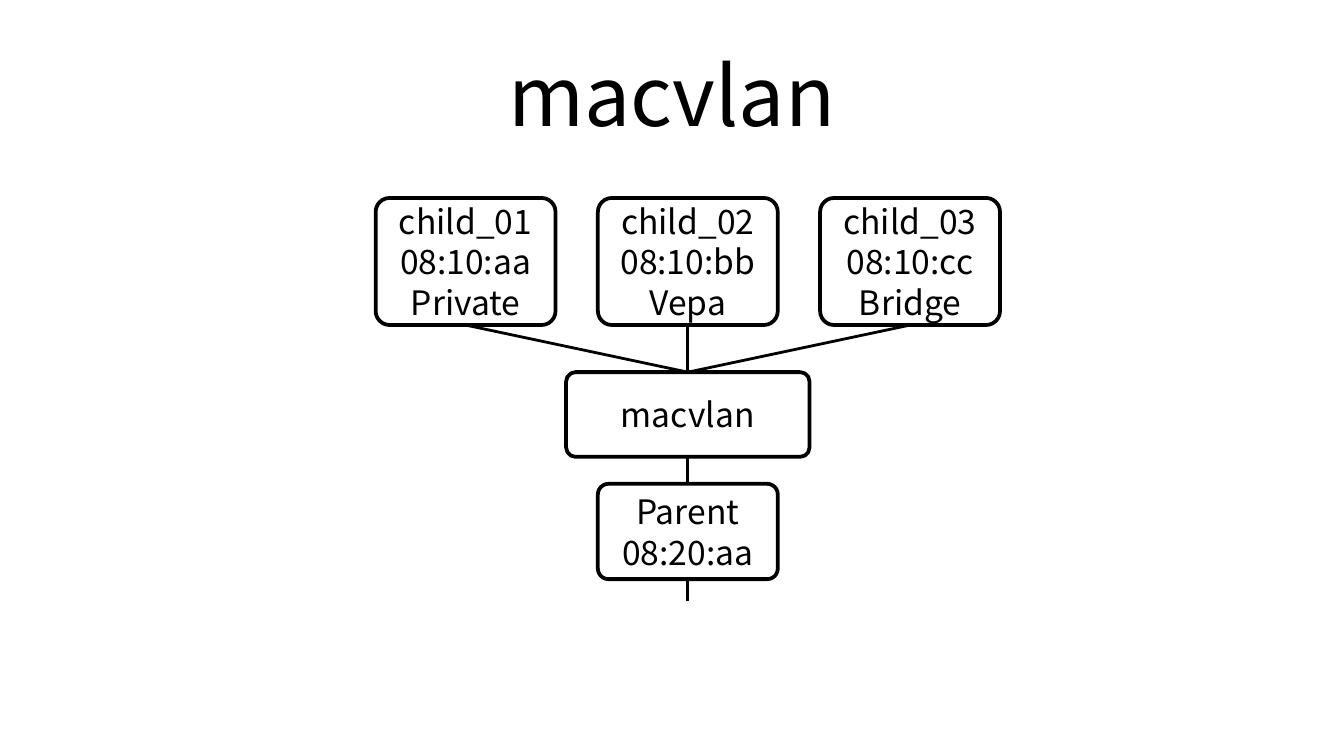
from dataclasses import dataclass

from lxml.etree import SubElement
from pptx import Presentation
from pptx.dml.color import RGBColor
from pptx.enum.shapes import MSO_CONNECTOR, MSO_SHAPE
from pptx.enum.text import MSO_ANCHOR, PP_ALIGN
from pptx.oxml.ns import qn
from pptx.util import Cm, Pt


@dataclass(frozen=True)
class Theme:
    font: str = "Noto Sans CJK KR"
    ink: RGBColor = RGBColor(0, 0, 0)
    paper: RGBColor = RGBColor(255, 255, 255)
    title_size: Pt = Pt(44)
    node_size: Pt = Pt(18)
    border: Pt = Pt(2)
    link: Pt = Pt(1.5)


theme = Theme()


def write_lines(shape, lines, size):
    """Fill a shape with centred paragraphs, one per line."""
    frame = shape.text_frame
    frame.word_wrap = True
    frame.vertical_anchor = MSO_ANCHOR.MIDDLE
    frame.margin_left = frame.margin_right = Cm(0.25)
    frame.margin_top = frame.margin_bottom = Cm(0.12)
    for number, line in enumerate(lines):
        para = frame.add_paragraph() if number else frame.paragraphs[0]
        para.alignment = PP_ALIGN.CENTER
        span = para.add_run()
        span.text = line
        span.font.name = theme.font
        span.font.size = size
        span.font.color.rgb = theme.ink


deck = Presentation()
deck.slide_width, deck.slide_height = Cm(25.4), Cm(14.28)
page = deck.slides.add_slide(deck.slide_layouts[5])
page.background.fill.solid()
page.background.fill.fore_color.rgb = theme.paper

title = page.shapes.title
title.left, title.top, title.width, title.height = Cm(1.27), Cm(0.58), Cm(22.86), Cm(2.39)
write_lines(title, ["macvlan"], theme.title_size)

# Everything hangs on one vertical axis; the children spread evenly around it.
axis = 13
child_pitch = 4.2
child_top, child_height = 3.74, 2.4
driver_top, driver_height = 7.03, 1.6
parent_top, parent_height = 9.14, 1.8
child_bottom = child_top + child_height
driver_bottom = driver_top + driver_height
parent_bottom = parent_top + parent_height
uplink_end = 11.35

children = [
    ["child_01", "08:10:aa", "Private"],
    ["child_02", "08:10:bb", "Vepa"],
    ["child_03", "08:10:cc", "Bridge"],
]
child_centers = [axis + (column - 1) * child_pitch for column in range(len(children))]

# Centre, top, width, height, lines of text
nodes = [
    (axis, parent_top, 3.4, parent_height, ["Parent", "08:20:aa"]),
    (axis, driver_top, 4.6, driver_height, ["macvlan"]),
]
for center, lines in zip(child_centers, children):
    nodes.append((center, child_top, 3.4, child_height, lines))

for center, top, width, height, lines in nodes:
    box = page.shapes.add_shape(
        MSO_SHAPE.ROUNDED_RECTANGLE,
        Cm(center - width / 2), Cm(top), Cm(width), Cm(height),
    )
    box.adjustments[0] = 0.11
    box.shadow.inherit = False
    box.fill.solid()
    box.fill.fore_color.rgb = theme.paper
    box.line.color.rgb = theme.ink
    box.line.width = theme.border
    write_lines(box, lines, theme.node_size)

# Start x, start y, end y; every link ends on the axis
links = [(center, child_bottom, driver_top) for center in child_centers]
links += [(axis, driver_bottom, parent_top), (axis, parent_bottom, uplink_end)]

for start_x, start_y, end_y in links:
    link = page.shapes.add_connector(
        MSO_CONNECTOR.STRAIGHT, Cm(start_x), Cm(start_y), Cm(axis), Cm(end_y)
    )
    link.line.color.rgb = theme.ink
    link.line.width = theme.link
    SubElement(link._element.spPr, qn("a:effectLst"))

deck.save("out.pptx")
